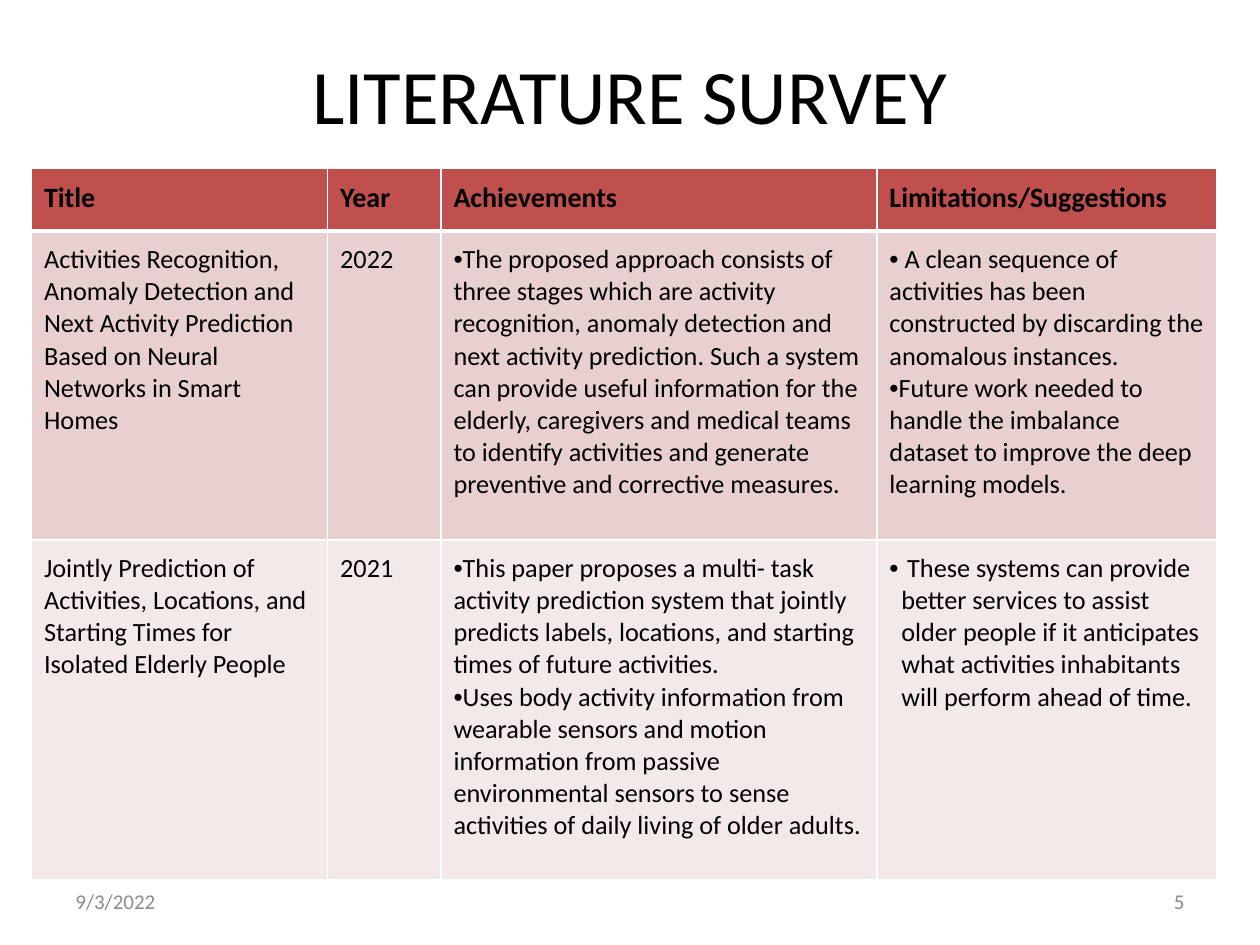
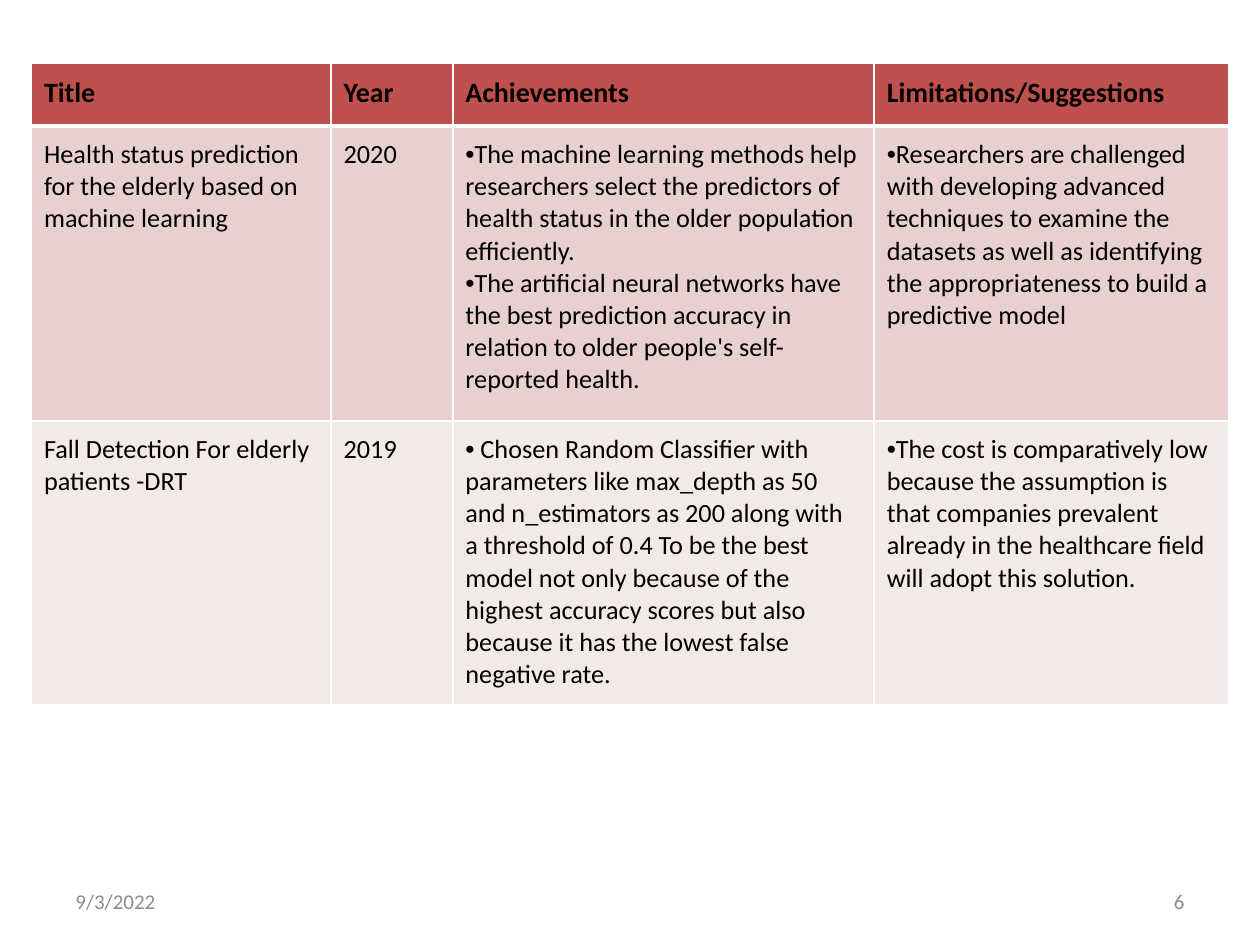
from dataclasses import dataclass

from lxml import etree
from pptx import Presentation
from pptx.dml.color import RGBColor
from pptx.enum.text import MSO_ANCHOR, PP_ALIGN
from pptx.oxml.ns import qn
from pptx.util import Pt

LEFT, CENTER, RIGHT = PP_ALIGN.LEFT, PP_ALIGN.CENTER, PP_ALIGN.RIGHT
TOP, MIDDLE = MSO_ANCHOR.TOP, MSO_ANCHOR.MIDDLE
TITLE_ONLY, BLANK = 5, 6


@dataclass(frozen=True)
class Theme:
    """Colours, type sizes and measures in points that the slides share."""
    font: str = "Calibri"
    ink: str = "000000"
    muted: str = "8C8C8C"
    rule: str = "FFFFFF"
    header_fill: str = "C0504D"
    row_fills: tuple = ("E8D0D0", "F4E9E9")
    title_size: int = 44
    header_size: int = 16
    body_size: int = 15
    footer_size: int = 12
    thin_rule: int = 1
    thick_rule: int = 3
    cell_inset: float = 7.2
    table_left: int = 18


THEME = Theme()
DATE = "9/3/2022"
HEADERS = ("Title", "Year", "Achievements", "Limitations/Suggestions")
TITLE_BOX = (36, 10.8, 648, 85)
DATE_BOX = (36, 500.4, 168, 28.8)
NUMBER_BOX = (516, 500.4, 168, 28.8)

SURVEY_SLIDES = [
    {
        "title": "LITERATURE SURVEY",
        "number": 5,
        "top": 96,
        "columns": (169.2, 64.8, 249.1, 194.4),
        "rows": (36, 176.5, 194),
        "papers": [
            {
                "title": "Activities Recognition, Anomaly Detection and Next Activity "
                         "Prediction Based on Neural Networks in Smart Homes",
                "year": "2022",
                "achievements": [
                    "The proposed approach consists of three stages which are activity "
                    "recognition, anomaly detection and next activity prediction. Such a "
                    "system can provide useful information for the elderly, caregivers and "
                    "medical teams to identify activities and generate preventive and "
                    "corrective measures.",
                ],
                "limitations": [
                    " A clean sequence of activities has been constructed by discarding "
                    "the anomalous instances.",
                    "Future work needed to handle the imbalance dataset to improve the "
                    "deep learning models.",
                ],
            },
            {
                "title": "Jointly Prediction of Activities, Locations, and Starting Times "
                         "for Isolated Elderly People",
                "year": "2021",
                "achievements": [
                    "This paper proposes a multi- task activity prediction system that "
                    "jointly predicts labels, locations, and starting times of future "
                    "activities.",
                    "Uses body activity information from wearable sensors and motion "
                    "information from passive environmental sensors to sense activities "
                    "of daily living of older adults.",
                ],
                "limitations": [
                    " These systems can provide better services to assist older people "
                    "if it anticipates what activities inhabitants will perform ahead "
                    "of time.",
                ],
                "hanging": 6.75,
            },
        ],
    },
    {
        "title": None,
        "number": 6,
        "top": 36,
        "columns": (171.2, 69.6, 240.8, 202.4),
        "rows": (36, 168.5, 162),
        "papers": [
            {
                "title": "Health status prediction for the elderly based on machine learning",
                "year": "2020",
                "achievements": [
                    "The machine learning methods help researchers select the predictors "
                    "of health status in the older population efficiently.",
                    "The artificial neural networks have the best prediction accuracy in "
                    "relation to older people's self-reported health.",
                ],
                "limitations": [
                    "Researchers are challenged with developing advanced techniques to "
                    "examine the datasets as well as identifying the appropriateness to "
                    "build a predictive model",
                ],
            },
            {
                "title": "Fall Detection For elderly patients -DRT",
                "year": "2019",
                "achievements": [
                    " Chosen Random Classifier with parameters like max_depth as 50 and "
                    "n_estimators as 200 along with a threshold of 0.4 To be the best "
                    "model not only because of the highest accuracy scores but also "
                    "because it has the lowest false negative rate.",
                ],
                "limitations": [
                    "The cost is comparatively low because the assumption is that "
                    "companies prevalent already in the healthcare field will adopt "
                    "this solution.",
                ],
            },
        ],
    },
]


def write_text(frame, text, size=THEME.body_size, color=THEME.ink, bold=False,
               align=LEFT, bulleted=False, hanging=0):
    """Write a string, or a list of strings as paragraphs, in one format."""
    lines = [text] if isinstance(text, str) else text
    frame.word_wrap = True
    for index, line in enumerate(lines):
        paragraph = frame.add_paragraph() if index else frame.paragraphs[0]
        paragraph.alignment = align
        run = paragraph.add_run()
        run.text = line
        run.font.name, run.font.size, run.font.bold = THEME.font, Pt(size), bold
        run.font.color.rgb = RGBColor.from_string(color)
        if bulleted:
            properties = paragraph._p.get_or_add_pPr()
            properties.set("marL", str(Pt(hanging)))
            properties.set("indent", str(-Pt(hanging)))
            etree.SubElement(properties, qn("a:buFont"), typeface="Arial")
            etree.SubElement(properties, qn("a:buChar"), char="•")


def set_borders(cell, top, bottom):
    """Draw the white rules on the four sides of a cell."""
    widths = {"a:lnL": THEME.thin_rule, "a:lnR": THEME.thin_rule,
              "a:lnT": top, "a:lnB": bottom}
    properties = cell._tc.get_or_add_tcPr()
    for index, (side, width) in enumerate(widths.items()):
        line = etree.Element(qn(side), w=str(Pt(width)))
        fill = etree.SubElement(line, qn("a:solidFill"))
        etree.SubElement(fill, qn("a:srgbClr"), val=THEME.rule)
        properties.insert(index, line)


def style_cell(cell, fill, top=THEME.thin_rule, bottom=THEME.thin_rule):
    """Give a cell its fill, insets and rules."""
    cell.fill.solid()
    cell.fill.fore_color.rgb = RGBColor.from_string(fill)
    cell.vertical_anchor = TOP
    cell.margin_left = cell.margin_right = Pt(THEME.cell_inset)
    cell.margin_top = cell.margin_bottom = Pt(THEME.cell_inset)
    set_borders(cell, top, bottom)


def add_survey_table(slide, survey):
    """Add the table of papers under its header row."""
    columns, rows = survey["columns"], survey["rows"]
    table = slide.shapes.add_table(
        len(rows), len(columns), Pt(THEME.table_left), Pt(survey["top"]),
        Pt(sum(columns)), Pt(sum(rows))).table
    for column, width in zip(table.columns, columns):
        column.width = Pt(width)
    for row, height in zip(table.rows, rows):
        row.height = Pt(height)
    for cell, header in zip(table.rows[0].cells, HEADERS):
        style_cell(cell, THEME.header_fill, bottom=THEME.thick_rule)
        write_text(cell.text_frame, header, size=THEME.header_size, bold=True)
    for index, paper in enumerate(survey["papers"]):
        top = THEME.thin_rule if index else THEME.thick_rule
        fields = (paper["title"], paper["year"], paper["achievements"], paper["limitations"])
        for cell, field in zip(table.rows[index + 1].cells, fields):
            style_cell(cell, THEME.row_fills[index % 2], top=top)
            write_text(cell.text_frame, field, bulleted=isinstance(field, list),
                       hanging=paper.get("hanging", 0) if field is fields[-1] else 0)


def add_title(slide, title):
    """Place and fill the title placeholder."""
    shape = slide.shapes.title
    shape.left, shape.top, shape.width, shape.height = map(Pt, TITLE_BOX)
    shape.text_frame.vertical_anchor = MIDDLE
    write_text(shape.text_frame, title, size=THEME.title_size, align=CENTER)


def add_footer(slide, number):
    """Add the date and the slide number."""
    for box, text, align in ((DATE_BOX, DATE, LEFT), (NUMBER_BOX, str(number), RIGHT)):
        frame = slide.shapes.add_textbox(*map(Pt, box)).text_frame
        frame.vertical_anchor = MIDDLE
        write_text(frame, text, size=THEME.footer_size, color=THEME.muted, align=align)


def main():
    """Build the survey slides and save them."""
    presentation = Presentation()
    presentation.slide_width, presentation.slide_height = Pt(720), Pt(540)
    for survey in SURVEY_SLIDES:
        layout = TITLE_ONLY if survey["title"] else BLANK
        slide = presentation.slides.add_slide(presentation.slide_layouts[layout])
        if survey["title"]:
            add_title(slide, survey["title"])
        add_survey_table(slide, survey)
        add_footer(slide, survey["number"])
    presentation.save("out.pptx")


if __name__ == "__main__":
    main()
